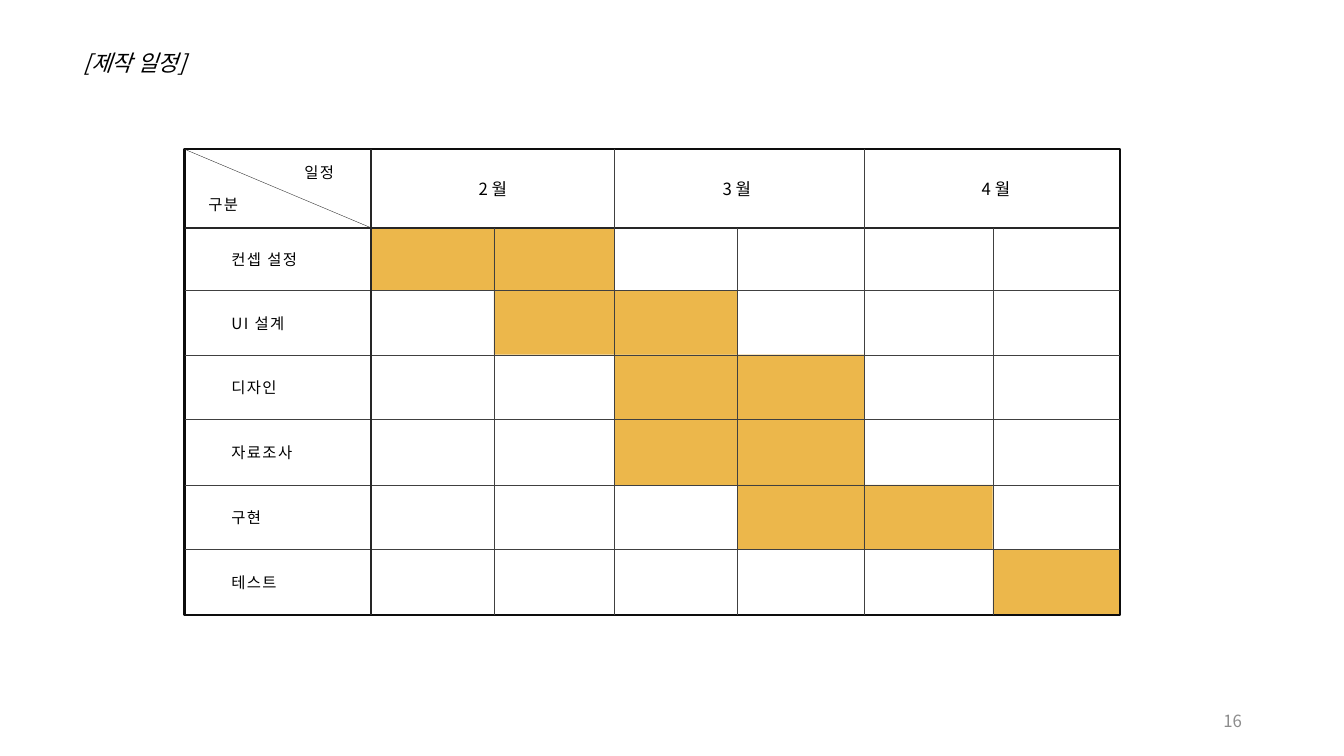
from lxml import etree
from pptx import Presentation
from pptx import util as u
from pptx.dml.color import RGBColor
from pptx.enum import shapes, text
from pptx.oxml import ns

COLUMNS = [4.65, 9.35, 12.45, 15.49, 18.59, 21.77, 25.02, 28.22]
ROWS = [3.76, 5.74, 7.32, 8.94, 10.57, 12.22, 13.84, 15.49]
TASKS = [
    ("컨셉 설정", 2.39, (1, 2)),
    ("UI 설계", 2.01, (2, 3)),
    ("디자인", 1.8, (3, 4)),
    ("자료조사", 2.24, (3, 4)),
    ("구현", 1.37, (4, 5)),
    ("테스트", 1.8, (6,)),
]
MONTHS = [("2 월", 11.81), ("3 월", 17.96), ("4 월", 24.49)]
CORNER = [("구분", 5.0, 4.78), ("일정", 7.42, 3.99)]


def rgb(value):
    return RGBColor.from_string(value)


class ScheduleSlide:
    """Holds the style and the current slide, and draws each kind of element."""

    font = "Noto Sans CJK KR"
    bar, ink, grey = "E69F10", "000000", "8C8C8C"
    frame, heavy, light = "0D0D0D", "262626", "404040"

    def __init__(self, deck):
        self.page = deck.slides.add_slide(deck.slide_layouts[5])

    def add_text(self, box, wording, color, tracking=0, para_format=None, **font_format):
        para = box.text_frame.paragraphs[0]
        span = para.add_run()
        span.text = wording
        for name, value in (para_format or {}).items():
            setattr(para, name, value)
        for name, value in {"name": self.font, **font_format}.items():
            setattr(span.font, name, value)
        span.font.color.rgb = rgb(color)
        properties = span._r.get_or_add_rPr()
        etree.SubElement(properties, ns.qn("a:ea"), typeface=self.font)
        if tracking:
            properties.set("spc", str(tracking * 100))

    def title(self, wording, left, top, width, height):
        box = self.page.shapes.title
        place = {"left": left, "top": top, "width": width, "height": height}
        for name, value in place.items():
            setattr(box, name, u.Cm(value))
        frame_format = {"vertical_anchor": text.MSO_ANCHOR.TOP,
                        "auto_size": text.MSO_AUTO_SIZE.NONE, "word_wrap": True}
        for name, value in frame_format.items():
            setattr(box.text_frame, name, value)
        self.add_text(box, wording, self.ink, size=u.Pt(16), italic=True,
                      para_format={"alignment": text.PP_ALIGN.JUSTIFY, "line_spacing": 0.9})

    def label(self, wording, left, top, width, height=0.74, size=11, tracking=1):
        box = self.page.shapes.add_textbox(*map(u.Cm, (left, top, width, height)))
        box.text_frame.word_wrap = False
        box.text_frame.auto_size = text.MSO_AUTO_SIZE.SHAPE_TO_FIT_TEXT
        self.add_text(box, wording, self.ink, tracking, size=u.Pt(size))

    def page_number(self, wording, left, top, width, height):
        box = self.page.shapes.add_textbox(*map(u.Cm, (left, top, width, height)))
        box.text_frame.word_wrap = True
        box.text_frame.vertical_anchor = text.MSO_ANCHOR.MIDDLE
        self.add_text(box, wording, self.grey, size=u.Pt(12),
                      para_format={"alignment": text.PP_ALIGN.RIGHT})

    def rectangle(self, left, top, right, bottom):
        box = self.page.shapes.add_shape(
            shapes.MSO_SHAPE.RECTANGLE,
            *map(u.Cm, (left, top, right - left, bottom - top)))
        box.shadow.inherit = False
        return box

    def task_bar(self, *edges):
        box = self.rectangle(*edges)
        box.line.fill.background()
        box.fill.solid()
        box.fill.fore_color.rgb = rgb(self.bar)
        color = box.element.spPr.find(".//" + ns.qn("a:srgbClr"))
        etree.SubElement(color, ns.qn("a:alpha"), val="75000")

    def outline(self, *edges):
        box = self.rectangle(*edges)
        box.fill.background()
        box.line.color.rgb = rgb(self.frame)
        box.line.width = u.Pt(1.5)

    def rule(self, x1, y1, x2, y2, color, weight):
        line = self.page.shapes.add_connector(
            shapes.MSO_CONNECTOR.STRAIGHT, *map(u.Cm, (x1, y1, x2, y2)))
        line.line.color.rgb = rgb(color)
        line.line.width = u.Pt(weight)
        etree.SubElement(line.element.spPr, ns.qn("a:effectLst"))


def draw_grid(slide):
    left, right, top, bottom = COLUMNS[0], COLUMNS[-1], ROWS[0], ROWS[-1]
    slide.outline(left, top, right, bottom)
    heavy, light = (slide.heavy, 1.5), (slide.light, 0.25)
    for index, y in enumerate(ROWS[1:-1]):
        slide.rule(left, y, right, y, *(light if index else heavy))
    for index, x in enumerate(COLUMNS[1:-1]):
        start = ROWS[index % 2]
        slide.rule(x, start, x, bottom, *(light if index else heavy))
    slide.rule(left, top, COLUMNS[1], ROWS[1], slide.heavy, 0.25)


def main():
    deck = Presentation()
    deck.slide_width, deck.slide_height = u.Cm(33.87), u.Cm(19.05)
    slide = ScheduleSlide(deck)
    slide.title("[제작 일정]", 1.85, 1.19, 3.73, 1.09)
    for row, (_, _, halves) in enumerate(TASKS, start=1):
        for half in halves:
            slide.task_bar(COLUMNS[half], ROWS[row], COLUMNS[half + 1], ROWS[row + 1])
    draw_grid(slide)
    for wording, left in MONTHS:
        slide.label(wording, left, 4.38, 1.32, 0.76, size=12, tracking=0)
    for wording, left, top in CORNER:
        slide.label(wording, left, top, 1.37)
    for row, (wording, width, _) in enumerate(TASKS, start=1):
        middle = (ROWS[row] + ROWS[row + 1]) / 2
        slide.label(wording, 5.58, middle - 0.35, width)
    slide.page_number("16", 23.93, 17.65, 7.62, 1.02)
    deck.save("out.pptx")


if __name__ == "__main__":
    main()
